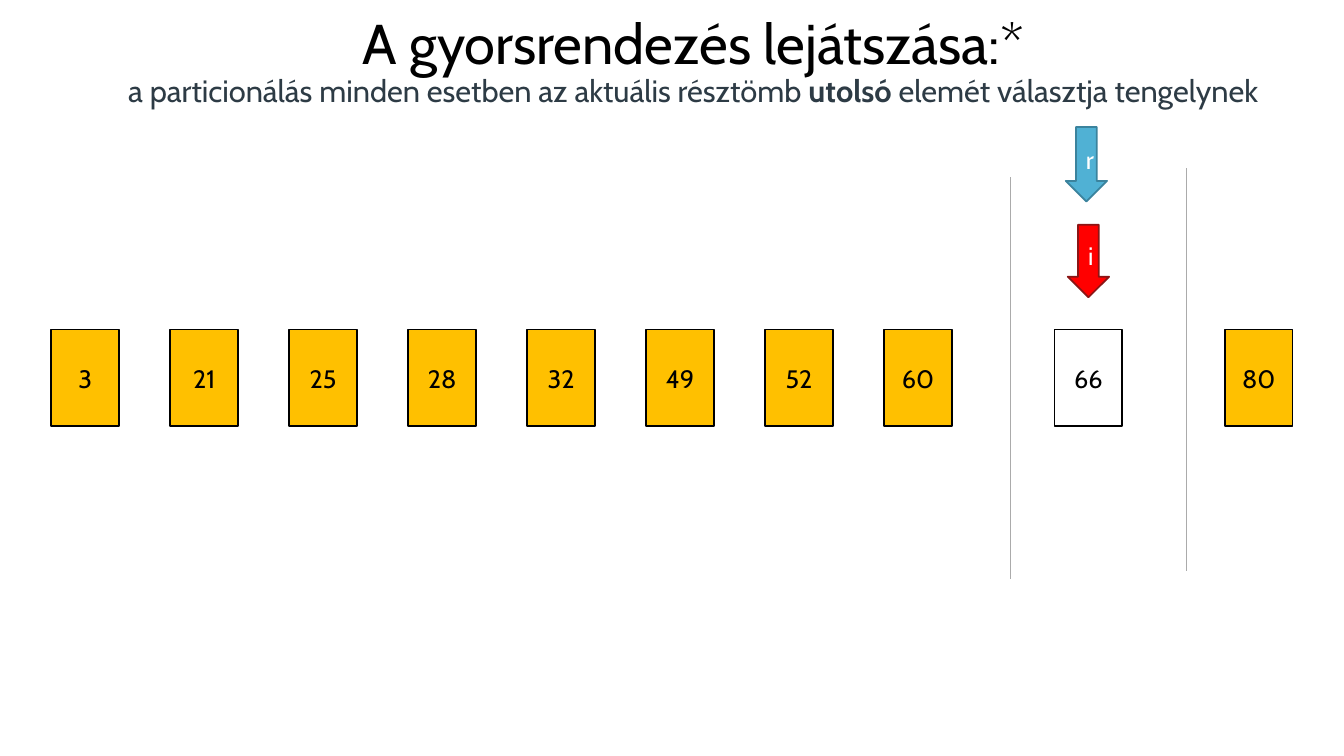
from dataclasses import dataclass

import pptx
import pptx.dml.color
import pptx.enum.shapes
import pptx.enum.text
import pptx.util
from lxml import etree
from pptx.dml.color import RGBColor
from pptx.enum.shapes import MSO_SHAPE
from pptx.util import Inches

BLACK = RGBColor(0x00, 0x00, 0x00)
WHITE = RGBColor(0xFF, 0xFF, 0xFF)
AMBER = RGBColor(0xFF, 0xC0, 0x00)
BLUE = RGBColor(0x50, 0xB1, 0xD4)
DARK_BLUE = RGBColor(0x3B, 0x83, 0x9D)
RED = RGBColor(0xFF, 0x00, 0x00)
DARK_RED = RGBColor(0x8B, 0x15, 0x15)
GREY = RGBColor(0xAB, 0xAB, 0xAB)
SLATE = RGBColor(0x2D, 0x3B, 0x45)
FONT = "Cabin"
DRAWING_NS = "http://schemas.openxmlformats.org/drawingml/2006/main"

CELL_LEFT, CELL_PITCH, CELL_TOP = 0.51, 1.18, 3.27
CELL_WIDTH, CELL_HEIGHT = 0.67, 0.96


@dataclass
class Block:
    text: str
    left: float
    top: float
    width: float
    height: float
    fill: RGBColor
    line: RGBColor
    color: RGBColor
    kind: MSO_SHAPE


@dataclass
class Divider:
    left: float
    top: float
    bottom: float


def cell(value: int, left: float, fill: RGBColor = AMBER) -> Block:
    return Block(str(value), left, CELL_TOP, CELL_WIDTH, CELL_HEIGHT,
                 fill, BLACK, BLACK, MSO_SHAPE.RECTANGLE)


SORTED_VALUES = [3, 21, 25, 28, 32, 49, 52, 60]
CELLS = [cell(value, CELL_LEFT + CELL_PITCH * index)
         for index, value in enumerate(SORTED_VALUES)]
CELLS += [cell(66, 10.46, WHITE), cell(80, 12.15)]
POINTERS = [
    Block("r", 10.57, 1.26, 0.41, 0.74, BLUE, DARK_BLUE, WHITE, MSO_SHAPE.DOWN_ARROW),
    Block("i", 10.59, 2.23, 0.41, 0.72, RED, DARK_RED, WHITE, MSO_SHAPE.DOWN_ARROW),
]
DIVIDERS = [Divider(10.02, 1.76, 5.74), Divider(11.77, 1.67, 5.66)]


def add_span(para, text: str, size: float, color: RGBColor, bold: bool = False) -> None:
    span = para.add_run()
    span.text = text
    formats = {"name": FONT, "size": pptx.util.Pt(size), "bold": bold}
    for name, value in formats.items():
        setattr(span.font, name, value)
    span.font.color.rgb = color


def add_block(page, block: Block) -> None:
    box = page.shapes.add_shape(block.kind, Inches(block.left), Inches(block.top),
                                Inches(block.width), Inches(block.height))
    box.shadow.inherit = False
    box.fill.solid()
    box.fill.fore_color.rgb = block.fill
    box.line.color.rgb = block.line
    box.line.width = pptx.util.Pt(1.25)
    box.text_frame.vertical_anchor = pptx.enum.text.MSO_ANCHOR.MIDDLE
    para = box.text_frame.paragraphs[0]
    para.alignment = pptx.enum.text.PP_ALIGN.CENTER
    add_span(para, block.text, 18, block.color)


def add_divider(page, divider: Divider) -> None:
    line = page.shapes.add_connector(
        pptx.enum.shapes.MSO_CONNECTOR.STRAIGHT,
        Inches(divider.left), Inches(divider.top),
        Inches(divider.left), Inches(divider.bottom))
    line.line.color.rgb = GREY
    line.line.width = pptx.util.Pt(0.75)
    etree.SubElement(line._element.spPr, f"{{{DRAWING_NS}}}effectLst")


def fill_title(page) -> None:
    title = page.shapes.title
    place = {"left": 0.93, "top": -0.16, "width": 11.89, "height": 1.56}
    for name, value in place.items():
        setattr(title, name, Inches(value))
    frame_formats = {
        "word_wrap": True,
        "auto_size": pptx.enum.text.MSO_AUTO_SIZE.NONE,
        "vertical_anchor": pptx.enum.text.MSO_ANCHOR.MIDDLE,
    }
    for name, value in frame_formats.items():
        setattr(title.text_frame, name, value)
    para = title.text_frame.paragraphs[0]
    para.alignment = pptx.enum.text.PP_ALIGN.CENTER
    para.line_spacing = 0.9
    add_span(para, "A gyorsrendezés lejátszása:*", 40, BLACK)
    para.add_line_break()
    add_span(para, "a particionálás minden esetben az aktuális résztömb ", 22, SLATE)
    add_span(para, "utolsó", 22, SLATE, bold=True)
    add_span(para, " elemét választja tengelynek", 22, SLATE)


def main() -> None:
    deck = pptx.Presentation()
    deck.slide_width, deck.slide_height = Inches(13.33), Inches(7.5)
    page = deck.slides.add_slide(deck.slide_layouts.get_by_name("Title Only"))

    # Array cells and index pointers
    for block in CELLS + POINTERS:
        add_block(page, block)

    # Borders of the current subarray
    for divider in DIVIDERS:
        add_divider(page, divider)

    # Heading
    fill_title(page)
    deck.save("out.pptx")


if __name__ == "__main__":
    main()
